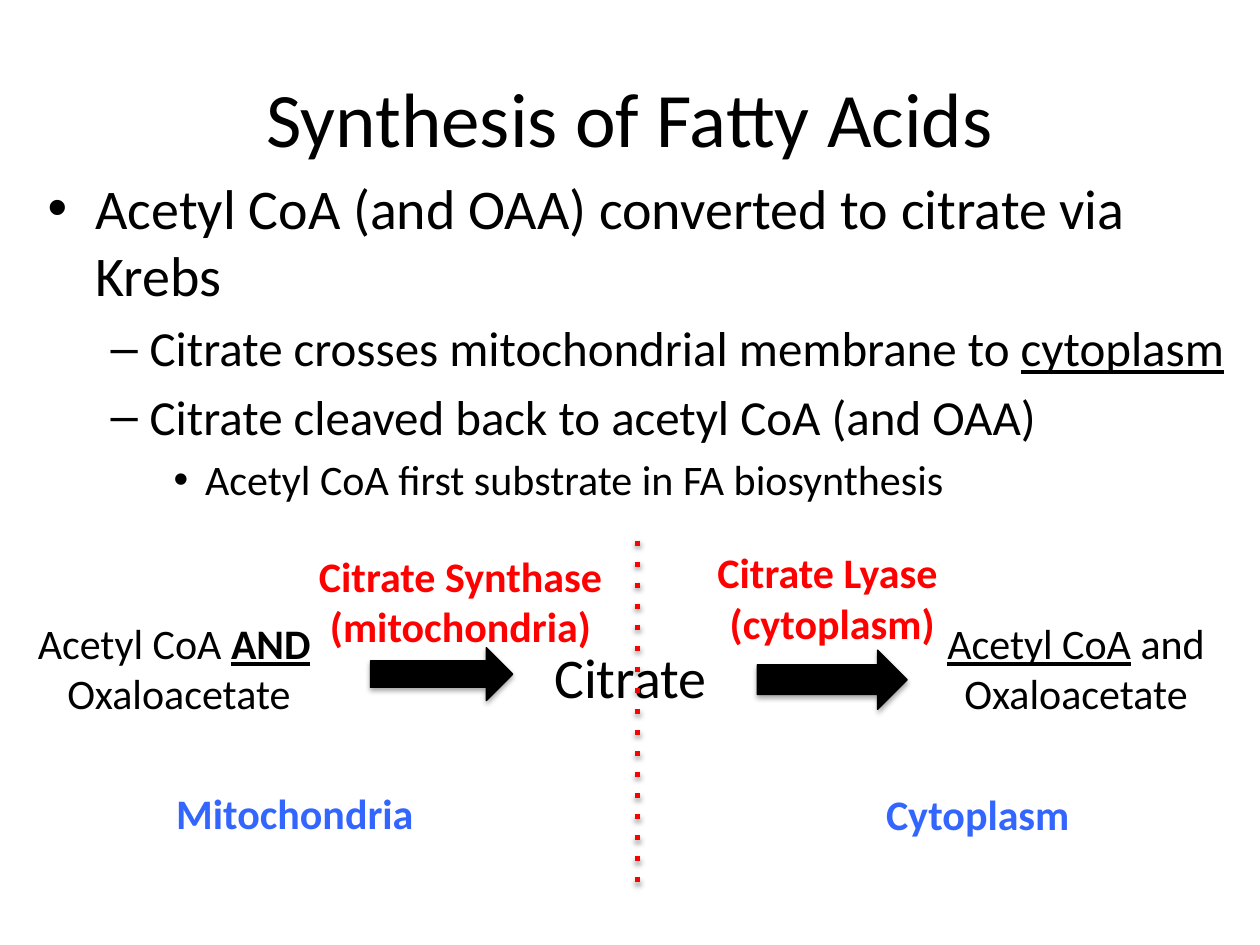
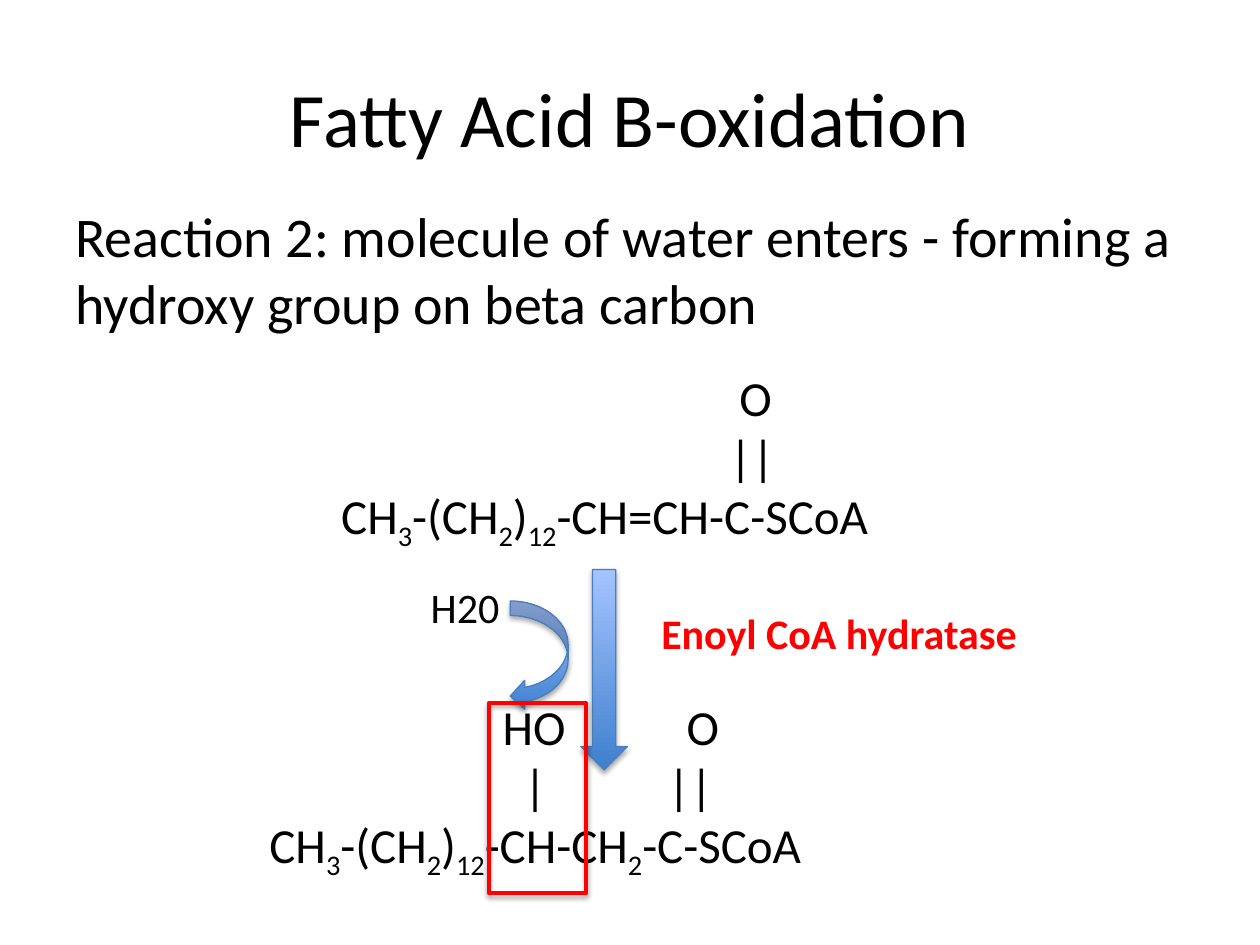
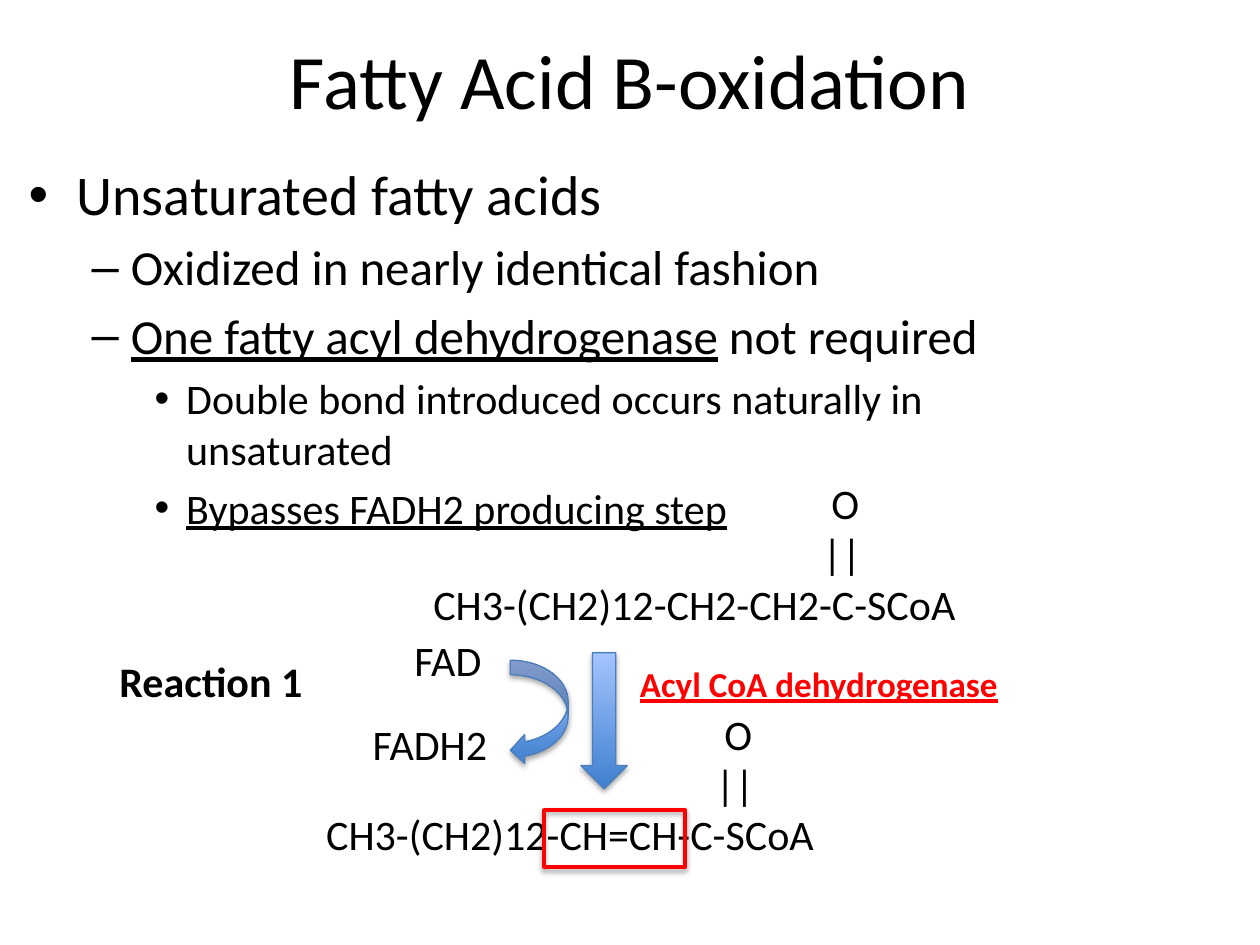
from dataclasses import dataclass

from lxml.etree import SubElement
from pptx import Presentation
from pptx.dml.color import RGBColor
from pptx.enum.shapes import MSO_CONNECTOR, MSO_SHAPE
from pptx.enum.text import MSO_ANCHOR, PP_ALIGN
from pptx.oxml.ns import qn
from pptx.util import Inches, Pt

SLIDE_WIDTH, SLIDE_HEIGHT = Inches(10), Inches(7.5)
COLUMNS, ROWS = 100, 75


@dataclass(frozen=True)
class Theme:
    """Colours, typeface and type sizes of the deck."""
    font: str = "Calibri"
    ink: str = "000000"
    accent: str = "FF0000"
    place: str = "3366FF"
    arrow_dark: str = "3F80CE"
    arrow_light: str = "A4C4FF"
    arrow_line: str = "4B7EBC"
    title: int = 44
    lead: int = 32
    point: int = 28
    label: int = 24
    small: int = 20


THEME = Theme()
LEVELS = (
    (THEME.lead, "•", 0.38, -0.38),
    (THEME.point, "–", 0.81, -0.31),
    (THEME.label, "•", 1.25, -0.25),
)


@dataclass(frozen=True)
class Box:
    """A rectangle in grid columns and rows."""
    left: float
    top: float
    width: float
    height: float

    def area(self, left, top, width, height):
        """Return a box placed from this box's corner."""
        return Box(self.left + left, self.top + top, width, height)

    def lengths(self):
        """Return left, top, width and height on the slide."""
        column, row = SLIDE_WIDTH / COLUMNS, SLIDE_HEIGHT / ROWS
        return (int(self.left * column), int(self.top * row),
                int(self.width * column), int(self.height * row))


@dataclass(frozen=True)
class Span:
    """A stretch of text that differs from its paragraph."""
    text: str
    bold: bool = False
    underline: bool = False
    subscript: bool = False


def subscript(text):
    """Return a lowered span."""
    return Span(text, subscript=True)


TWO = subscript("2")
ACYL_CHAIN = ("CH", subscript("3"), "-(CH", TWO, ")", subscript("12"))


def add_spans(para, spans):
    """Write plain strings and styled spans into a paragraph."""
    for item in spans:
        style = item if isinstance(item, Span) else Span(item)
        span = para.add_run()
        span.text = style.text
        if style.bold:
            span.font.bold = True
        if style.underline:
            span.font.underline = True
        if style.subscript:
            span._r.get_or_add_rPr().set("baseline", "-25000")


def style_para(para, size, color=THEME.ink, bold=None):
    """Set the font that a whole paragraph shares."""
    para.font.name = THEME.font
    para.font.size = Pt(size)
    para.font.color.rgb = RGBColor.from_string(color)
    para.font.bold = bold


def add_frame(page, box):
    """Add a wrapping text box and return its frame."""
    frame = page.shapes.add_textbox(*box.lengths()).text_frame
    frame.word_wrap = True
    return frame


def add_paras(frame, lines):
    """Yield one filled paragraph for each line of spans."""
    for number, spans in enumerate(lines):
        para = frame.add_paragraph() if number else frame.paragraphs[0]
        add_spans(para, (spans,) if isinstance(spans, (str, Span)) else spans)
        yield para


def add_label(page, box, *lines, size=THEME.label, color=THEME.ink, bold=None,
              align=PP_ALIGN.LEFT):
    """Add lines of text in one style."""
    frame = add_frame(page, box)
    for para in add_paras(frame, lines):
        para.alignment = align
        style_para(para, size, color, bold)
    return frame


def add_title(page, text, top=3):
    """Add the centred slide title."""
    frame = add_label(page, Box(5, top, 90, 12.5), text,
                      size=THEME.title, align=PP_ALIGN.CENTER)
    frame.vertical_anchor = MSO_ANCHOR.MIDDLE


def add_space_before(para):
    """Set the body text's space before a paragraph."""
    spacing = SubElement(para._p.get_or_add_pPr(), qn("a:spcBef"))
    SubElement(spacing, qn("a:spcPct")).set("val", "20000")


def add_outline(page, box, *points):
    """Add bulleted text from pairs of level and spans."""
    frame = add_frame(page, box)
    paras = add_paras(frame, [spans for _, spans in points])
    for para, (level, _) in zip(paras, points):
        size, bullet, margin, indent = LEVELS[level]
        para.level = level
        properties = para._p.get_or_add_pPr()
        properties.set("marL", str(Inches(margin)))
        properties.set("indent", str(Inches(indent)))
        add_space_before(para)
        SubElement(properties, qn("a:buFont")).set("typeface", "Arial")
        SubElement(properties, qn("a:buChar")).set("char", bullet)
        style_para(para, size)


def add_formula(page, box, size, *rows):
    """Add a structural formula from pairs of tab stops and spans."""
    frame = add_frame(page, box)
    paras = add_paras(frame, [spans for _, spans in rows])
    for para, (stops, _) in zip(paras, rows):
        if stops:
            tabs = SubElement(para._p.get_or_add_pPr(), qn("a:tabLst"))
            for stop in stops:
                tab = SubElement(tabs, qn("a:tab"))
                tab.set("pos", str(Inches(stop)))
                tab.set("algn", "l")
        style_para(para, size)


def add_shadow(shape, opacity=35, distance=1.8):
    """Give a shape or connector a soft shadow below."""
    effects = SubElement(shape._element.spPr, qn("a:effectLst"))
    shadow = SubElement(effects, qn("a:outerShdw"))
    for name, value in (("blurRad", Pt(3.1)), ("dist", Pt(distance)),
                        ("dir", 90 * 60000), ("rotWithShape", 0)):
        shadow.set(name, str(value))
    color = SubElement(shadow, qn("a:srgbClr"))
    color.set("val", THEME.ink)
    SubElement(color, qn("a:alpha")).set("val", str(opacity * 1000))


def add_figure(page, kind, box, line, width=0.75):
    """Add a shadowed preset shape with a coloured line."""
    shape = page.shapes.add_shape(kind, *box.lengths())
    shape.line.color.rgb = RGBColor.from_string(line)
    shape.line.width = Pt(width)
    add_shadow(shape)
    return shape


def add_step_arrow(page, box):
    """Add a solid arrow to the right."""
    arrow = add_figure(page, MSO_SHAPE.RIGHT_ARROW, box, THEME.ink)
    arrow.fill.solid()
    arrow.fill.fore_color.rgb = RGBColor.from_string(THEME.ink)


def add_shaded_arrow(page, kind, box):
    """Add an arrow that is shaded from bottom to top."""
    fill = add_figure(page, kind, box, THEME.arrow_line).fill
    fill.gradient()
    fill.gradient_angle = 90
    for stop, color in zip(fill.gradient_stops,
                           (THEME.arrow_dark, THEME.arrow_light)):
        stop.color.rgb = RGBColor.from_string(color)


def add_highlight(page, box):
    """Frame the changed section of a formula."""
    add_figure(page, MSO_SHAPE.RECTANGLE, box, THEME.accent, 2.25).fill.background()


def add_reaction_arrows(page, box, bend_top, bend_height):
    """Add the main arrow at the right of a box and the cofactor's at its left."""
    add_shaded_arrow(page, MSO_SHAPE.DOWN_ARROW,
                     box.area(box.width - 3.7, 0, 3.7, box.height))
    add_shaded_arrow(page, MSO_SHAPE.CURVED_LEFT_ARROW,
                     box.area(0, bend_top, 4.6, bend_height))


def add_membrane(page, box):
    """Add the dotted line down the left side of a box."""
    left, top, _, height = box.lengths()
    membrane = page.shapes.add_connector(
        MSO_CONNECTOR.STRAIGHT, left, top, left, top + height)
    membrane.line.color.rgb = RGBColor.from_string(THEME.accent)
    membrane.line.width = Pt(3)
    SubElement(membrane.line._ln, qn("a:prstDash")).set("val", "dot")
    add_shadow(membrane, opacity=38, distance=1.6)


def add_pathway(page, box):
    """Draw the citrate pathway across the membrane."""
    centred = {"align": PP_ALIGN.CENTER}
    enzyme = {"color": THEME.accent, "bold": True, **centred}
    place = {"color": THEME.place, "bold": True, **centred}
    add_step_arrow(page, box.area(29.4, 8.5, 11.3, 4.2))
    add_label(page, box.area(19.3, 0.3, 34.5, 9.1),
              "Citrate Synthase (mitochondria)", **enzyme)
    add_label(page, box.area(-0.4, 5.6, 29.2, 9.1),
              ("Acetyl CoA ", Span("AND", bold=True, underline=True), " "),
              "Oxaloacetate", **centred)
    add_step_arrow(page, box.area(60.1, 8.7, 11.9, 4.7))
    add_label(page, box.area(43, 7.6, 23.1, 6.4), "Citrate", size=THEME.lead)
    add_label(page, box.area(70.8, 5.6, 29.2, 9.1),
              (Span("Acetyl CoA", underline=True), " and"),
              "Oxaloacetate", **centred)
    add_label(page, box.area(48.8, 0, 34.5, 9.1),
              "Citrate Lyase ", "(cytoplasm)", **enzyme)
    add_membrane(page, box.area(50.6, 0, 0, box.height))
    add_label(page, box.area(8.8, 19.1, 29.2, 5), "Mitochondria", **place)
    add_label(page, box.area(63, 19.2, 29.2, 5), "Cytoplasm", **place)


def add_hydration(page, box):
    """Draw the reaction that adds water."""
    add_formula(page, box.area(6.1, 0, 49.9, 15.1), THEME.point,
                ((3.16,), "\tO"), ((3.08,), "\t||"),
                ((), (*ACYL_CHAIN, "-CH=CH-C-SCoA")))
    add_reaction_arrows(page, box.area(20.5, 16.5, 9.3, 15.9), 2.5, 8.7)
    add_formula(page, box.area(0.4, 26.1, 49.9, 15.1), THEME.point,
                ((1.85, 3.31), "\tHO\tO"), ((2.02, 3.16), "\t|\t||"),
                ((), (*ACYL_CHAIN, "-CH-CH", TWO, "-C-SCoA")))
    add_label(page, box.area(13.2, 17, 11.3, 5), "H20")
    add_label(page, box.area(31.5, 19, 40.6, 5), "Enoyl CoA hydratase",
              color=THEME.accent, bold=True)
    add_highlight(page, box.area(18.8, 27.1, 7.7, 15.1))


def add_dehydrogenation(page, box):
    """Draw the reaction that forms the double bond."""
    carbonyl = (((3.16,), "\tO"), ((3.09,), "\t||"))
    add_formula(page, box.area(16.4, 18.3, 49.9, 13.1), THEME.label,
                *carbonyl, ((), "CH3-(CH2)12-CH=CH-C-SCoA"))
    add_formula(page, box.area(24.9, 0, 62.5, 13.1), THEME.label,
                *carbonyl, ((), "CH3-(CH2)12-CH2-CH2-C-SCoA"))
    add_reaction_arrows(page, box.area(32, 14.4, 9.3, 10.8), 0.6, 8.3)
    add_label(page, box.area(20.1, 19.1, 11.3, 5), "FADH2")
    add_label(page, box.area(23.4, 12.5, 11.3, 5), "FAD")
    add_label(page, box.area(41.3, 14.7, 40.6, 4.4),
              Span("Acyl CoA dehydrogenase", underline=True),
              size=THEME.small, color=THEME.accent, bold=True)
    add_highlight(page, box.area(34.7, 26.9, 11.2, 4.5))
    add_label(page, box.area(0, 14.1, 23.6, 5), "Reaction 1", bold=True)


def build_synthesis(page):
    """Build the slide on fatty acid synthesis."""
    add_title(page, "Synthesis of Fatty Acids")
    add_outline(
        page, Box(2.8, 13.3, 96.5, 53.7),
        (0, "Acetyl CoA (and OAA) converted to citrate via Krebs"),
        (1, ("Citrate crosses mitochondrial membrane to ",
             Span("cytoplasm", underline=True))),
        (1, "Citrate cleaved back to acetyl CoA (and OAA)"),
        (2, "Acetyl CoA first substrate in FA biosynthesis"))
    add_pathway(page, Box(0, 42.9, 100, 27.7))


def build_reaction_two(page):
    """Build the slide on the hydration step."""
    add_title(page, "Fatty Acid B-oxidation")
    frame = add_frame(page, Box(5, 15.5, 90, 51.5))
    statement = ("Reaction 2: molecule of water enters - forming a "
                 "hydroxy group on beta carbon")
    for para in add_paras(frame, [statement]):
        add_space_before(para)
        style_para(para, THEME.lead)
    add_hydration(page, Box(20, 28.7, 72.1, 42.2))


def build_unsaturated(page):
    """Build the slide on unsaturated fatty acids."""
    add_title(page, "Fatty Acid B-oxidation", top=0)
    add_outline(
        page, Box(1.3, 12.2, 90, 49.5),
        (0, "Unsaturated fatty acids"),
        (1, "Oxidized in nearly identical fashion"),
        (1, (Span("One fatty acyl dehydrogenase", underline=True),
             " not required")),
        (2, "Double bond introduced occurs naturally in unsaturated"),
        (2, Span("Bypasses FADH2 producing step", underline=True)))
    add_dehydrogenation(page, Box(8.5, 37.4, 87.4, 31.4))


def main():
    """Build and save the deck."""
    deck = Presentation()
    deck.slide_width, deck.slide_height = SLIDE_WIDTH, SLIDE_HEIGHT
    for build in (build_synthesis, build_reaction_two, build_unsaturated):
        build(deck.slides.add_slide(deck.slide_layouts[6]))
    deck.save("out.pptx")


if __name__ == "__main__":
    main()
